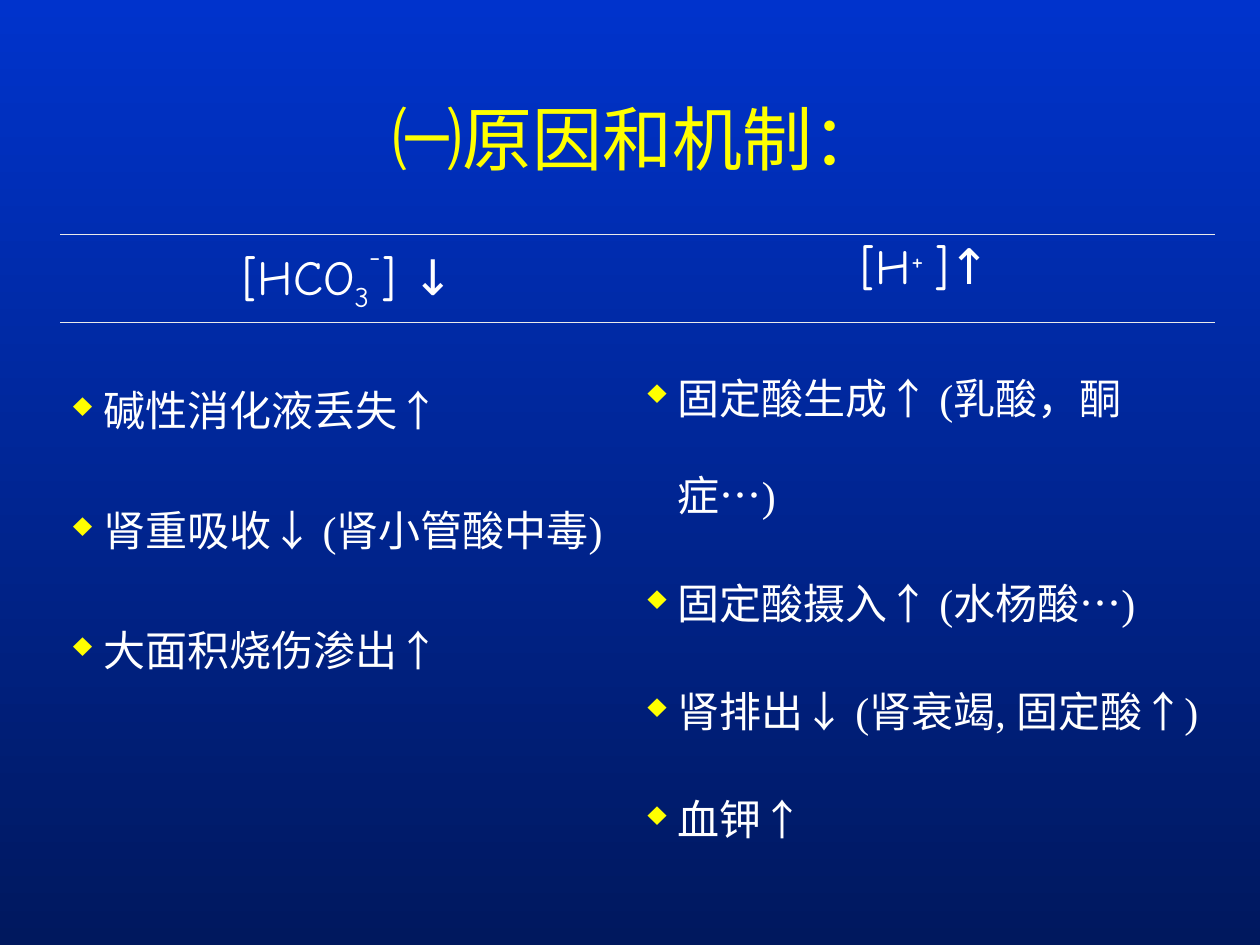
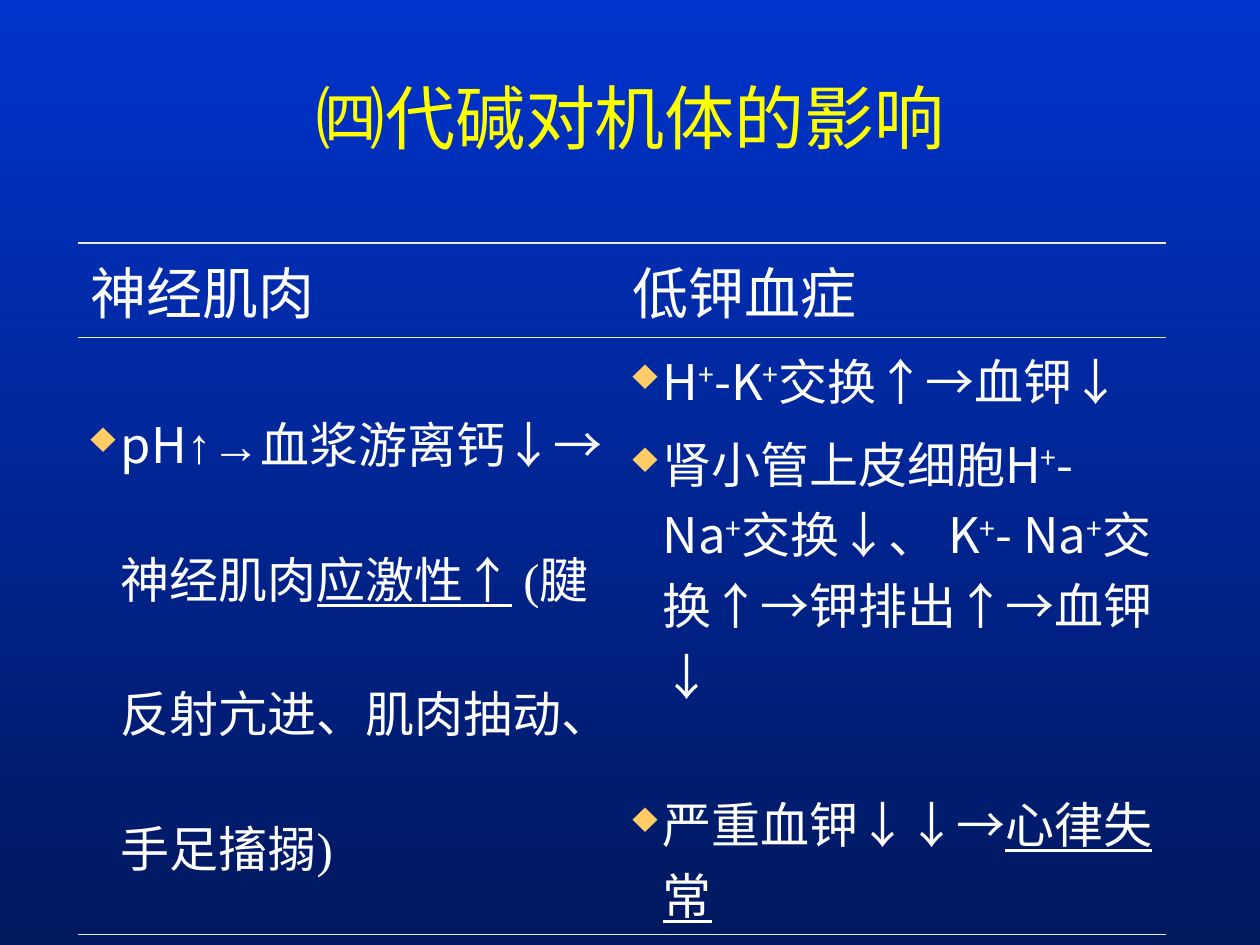
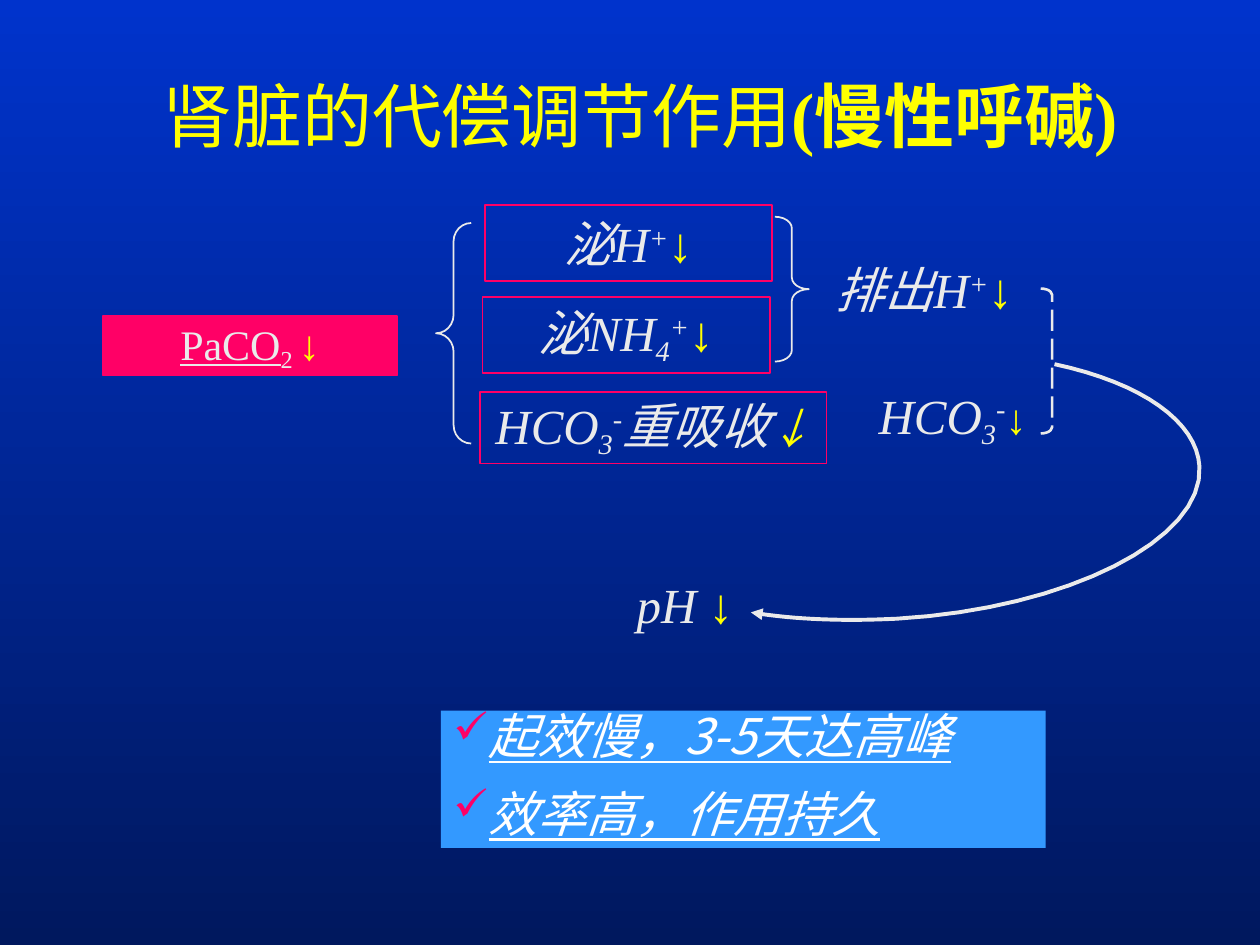
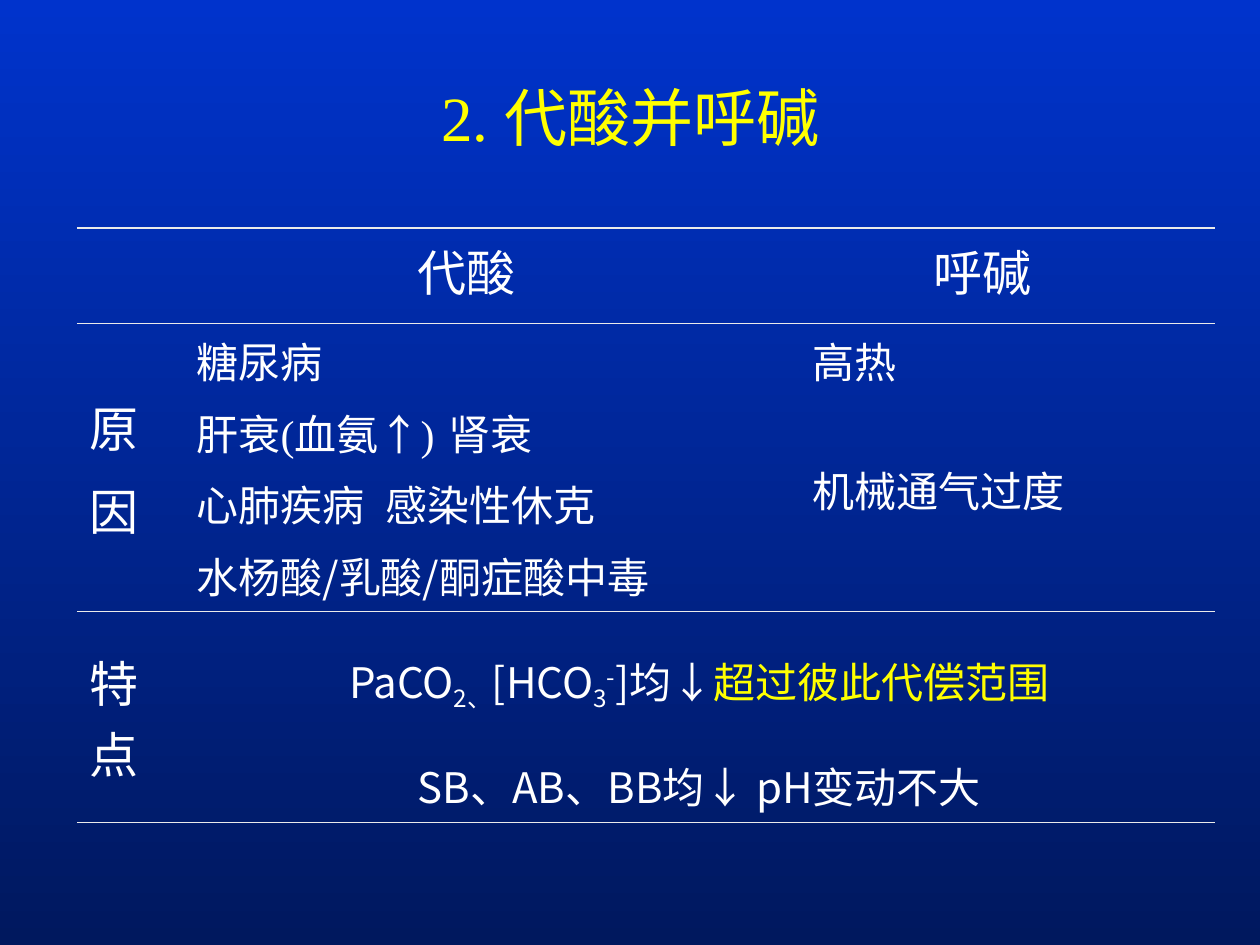
from pptx import Presentation
from pptx.dml.color import RGBColor
from pptx.enum.dml import MSO_LINE as Dash
from pptx.enum.shapes import MSO_SHAPE as Kind
from pptx.enum.text import MSO_ANCHOR as Anchor, MSO_AUTO_SIZE as Auto, PP_ALIGN as Align
from pptx.oxml.ns import qn
from pptx.util import Emu, Inches, Pt
from lxml.etree import SubElement as Sub

# The slide is a grid of 100 columns by 75 rows.
COLS, ROWS = 100, 75
WIDE, HIGH = Inches(10), Inches(7.5)
TOP, DEEP = "0033CC", "00185E"
YELLOW, WHITE, PALE = "FFFF00", "FFFFFF", "EAEAEA"
PINK, AMBER, SKY = "FF0066", "FFCC66", "3399FF"
TIMES, SANS, COMIC = "Times New Roman", "Noto Sans CJK SC", "Comic Neue"

SUB, SUP = {"base": -20}, {"base": 30}
GOLD = {"ink": YELLOW}
TITLE = {"size": 40, "ink": YELLOW, "align": Align.CENTER}
LABEL = {"size": 28, "ink": PALE, "italic": True, "align": Align.CENTER}


def hue(code):
    return RGBColor.from_string(code)


def units(*vals):
    return [Emu(round(val * WIDE / COLS)) for val in vals]


def shift(box, x, y, w, h):
    """Place a part relative to the corner of its region."""
    return box[0] + x, box[1] + y, w, h


def split(item):
    """Part a text from the format that overrides its surroundings."""
    return item if isinstance(item, tuple) else (item, {})


def style(run, look):
    font = run.font
    for key in ("bold", "italic", "underline"):
        setattr(font, key, look.get(key))
    font.name = look.get("name", TIMES)
    font.size = Pt(look["size"])
    font.color.rgb = hue(look["ink"])
    props = run._r.get_or_add_rPr()
    Sub(props, qn("a:ea")).set("typeface", SANS)
    if "base" in look:
        props.set("baseline", str(look["base"] * 1000))


def layout(para, look, first):
    para.alignment = look.get("align", Align.LEFT)
    para.line_spacing = look.get("lead", 1.0)
    para.space_before = Pt(0 if first else look.get("gap", 0))
    props = para._p.get_or_add_pPr()
    hang = look.get("hang", 0)
    props.set("marL", str(units(look.get("left", hang))[0]))
    props.set("indent", str(units(-hang)[0]))
    if "mark" in look:
        mark, ink, size = look["mark"]
        Sub(Sub(props, qn("a:buClr")), qn("a:srgbClr")).set("val", ink)
        Sub(props, qn("a:buSzPct")).set("val", str(size * 1000))
        Sub(props, qn("a:buChar")).set("char", mark)
    if "tab" in look:
        stop = Sub(Sub(props, qn("a:tabLst")), qn("a:tab"))
        stop.set("pos", str(units(look["tab"])[0]))
        stop.set("algn", "l")


def write(frame, paras, look):
    """Fill a frame; each paragraph is a string or a list of runs."""
    for num, item in enumerate(paras):
        runs, own = split(item)
        full = {**look, **own}
        para = frame.add_paragraph() if num else frame.paragraphs[0]
        layout(para, full, num == 0)
        for part in [runs] if isinstance(runs, str) else runs:
            text, extra = split(part)
            run = para.add_run()
            run.text = text
            style(run, {**full, **extra})


def page(deck, box, runs, **look):
    slide = deck.slides.add_slide(deck.slide_layouts[5])
    title = slide.shapes.title
    for key, val in zip(("left", "top", "width", "height"), units(*box)):
        setattr(title, key, val)
    frame = title.text_frame
    frame.auto_size, frame.vertical_anchor = Auto.NONE, Anchor.MIDDLE
    write(frame, [runs], {**TITLE, **look})
    return slide


def rule(props, side, width):
    """Draw one cell border, or clear it when the width is 0."""
    line = Sub(props, qn("a:ln" + side))
    line.set("w", str(Pt(width)))
    if width:
        Sub(Sub(line, qn("a:solidFill")), qn("a:srgbClr")).set("val", PALE)
    else:
        Sub(line, qn("a:noFill"))


def sheet(slide, spot, cols, rows, cells):
    """Add a ruled table; None joins a cell to the one on its left."""
    size = units(*spot, sum(cols), sum(rows))
    table = slide.shapes.add_table(len(rows), len(cols), *size).table
    table.first_row = table.horz_banding = False
    for part, sizes, key in ((table.columns, cols, "width"), (table.rows, rows, "height")):
        for item, val in zip(part, units(*sizes)):
            setattr(item, key, val)
    for r, line in enumerate(cells):
        for c, item in enumerate(line):
            cell = table.cell(r, c)
            props = cell._tc.get_or_add_tcPr()
            edges = {"L": 0, "R": 0, "T": 0.45 if r else 1.08,
                     "B": 1.08 if r == len(rows) - 1 else 0.45}
            for side, width in edges.items():
                rule(props, side, width)
            cell.fill.background()
            if item is None:
                table.cell(r, c - 1).merge(cell)
                continue
            paras, look = item
            cell.vertical_anchor = look.get("anchor", Anchor.TOP)
            write(cell.text_frame, paras, look)


def paint(shape, fill=None, line=None, width=1):
    shape.shadow.inherit = False
    if fill:
        shape.fill.solid()
        shape.fill.fore_color.rgb = hue(fill)
    else:
        shape.fill.background()
    if line:
        shape.line.color.rgb = hue(line)
        shape.line.width = Pt(width)
    else:
        shape.line.fill.background()
    return shape


def label(slide, box, runs, look=LABEL, fill=None, line=None):
    """Add a centred line of text, in a rectangle if it has a line."""
    if line:
        shape = paint(slide.shapes.add_shape(Kind.RECTANGLE, *units(*box)), fill, line)
    else:
        shape = slide.shapes.add_textbox(*units(*box))
    frame = shape.text_frame
    frame.word_wrap, frame.vertical_anchor = False, Anchor.MIDDLE
    write(frame, [runs], look)


def brace(slide, kind, box, bend, width=1):
    shape = paint(slide.shapes.add_shape(kind, *units(*box)), None, PALE, width)
    shape.adjustments[0] = bend
    return shape


def bend(start, curves, steps=16):
    """Yield points along a chain of cubic curves."""
    for a, b, end in curves:
        for n in range(1, steps + 1):
            t = n / steps
            u = 1 - t
            yield tuple(u**3 * p + 3 * u * u * t * q + 3 * u * t * t * r + t**3 * s
                        for p, q, r, s in zip(start, a, b, end))
        start = end


def sweep(slide, box, start, curves):
    def spot(point):
        return units(box[0] + point[0], box[1] + point[1])

    pen = slide.shapes.build_freeform(*spot(start))
    pen.add_line_segments([spot(point) for point in bend(start, curves)], close=False)
    shape = paint(pen.convert_to_shape(), None, PALE, 2.25)
    Sub(shape.line._get_or_add_ln(), qn("a:tailEnd")).set("type", "triangle")


def flow(slide, box):
    def at(*part):
        return shift(box, *part)

    down = ("↓", GOLD)
    small = ("↓", {"ink": YELLOW, "size": 24})
    bicarb = ["HCO", ("3", SUB), ("-", SUP)]
    label(slide, at(35.5, 28.3, 22.7, 7.3), ["pH ", ("↓ ", GOLD)])
    label(slide, at(0.2, 9.1, 23.3, 4.7),
          [("PaCO", {"underline": True}), ("2 ", SUB), down],
          {**LABEL, "size": 24, "italic": False}, PINK, PINK)
    boxes = [((30.5, 0.3, 22.8, 6), ["泌H", ("+", SUP), down]),
             ((30.3, 7.6, 22.8, 6), ["泌NH", ("4", SUB), ("+", SUP), down]),
             ((30.1, 15.1, 27.5, 5.7), bicarb + ["重吸收", small])]
    for part, runs in boxes:
        label(slide, at(*part), runs, line=PINK)
    label(slide, at(57.3, 3.8, 16.1, 6.3), ["排出H", ("+", SUP), down])
    label(slide, at(59.5, 14.3, 16.2, 5.7), bicarb + [small])
    brace(slide, Kind.LEFT_BRACE, at(26.6, 1.7, 2.8, 17.5), 0.52)
    brace(slide, Kind.RIGHT_BRACE, at(53.5, 1.2, 2.7, 11.5), 0.34)
    edge = brace(slide, Kind.RIGHT_BRACKET, at(74.6, 6.9, 0.9, 11.5), 0.55, 1.5)
    edge.line.dash_style = Dash.LONG_DASH
    sweep(slide, box, (75.7, 12.9),
          [((82.7, 14.4), (87, 17.5), (87.2, 21)),
           ((87.6, 26.8), (76.8, 32.3), (63.2, 33.1)),
           ((59.2, 33.3), (55.2, 33.2), (51.6, 32.6))])


def notes(slide, box, paras):
    shape = paint(slide.shapes.add_shape(Kind.RECTANGLE, *units(*box)), SKY)
    frame = shape.text_frame
    frame.word_wrap, frame.vertical_anchor = True, Anchor.TOP
    write(frame, paras, {"size": 28, "name": SANS, "ink": WHITE, "italic": True,
                         "underline": True, "lead": 0.8, "gap": 17.5,
                         "hang": 2.8, "mark": ("✓", PINK, 90)})


def causes(deck):
    slide = page(deck, (5.9, 6, 89.4, 9.8), "㈠原因和机制：")
    head = {"size": 28, "name": COMIC, "ink": WHITE, "align": Align.CENTER}
    body = {"size": 24, "ink": WHITE, "gap": 6, "hang": 2.4, "mark": ("♦", YELLOW, 80)}
    sheet(slide, (4.8, 18.6), (45.6, 46), (7, 41.9), [
        [([["[HCO", ("3", {"base": -25}), ("-", {"base": 60}), "] ↓"]], head),
         ([["[H", ("+ ", SUP), "]↑"]], head)],
        [(["碱性消化液丢失↑", "肾重吸收↓ (肾小管酸中毒)", "大面积烧伤渗出↑"],
          {**body, "lead": 1.8}),
         (["固定酸生成↑ (乳酸，酮症…)", "固定酸摄入↑ (水杨酸…)",
           "肾排出↓ (肾衰竭, 固定酸↑)", "血钾↑"], {**body, "lead": 1.6})]])


def effects(deck):
    slide = page(deck, (5, 3, 90, 12.5), "㈣代碱对机体的影响")
    head = {"size": 32, "name": SANS, "ink": WHITE, "anchor": Anchor.MIDDLE}
    body = {"size": 28, "ink": WHITE, "gap": 7, "hang": 2.4, "mark": ("♦", AMBER, 90)}
    sans, line = {"name": SANS}, {"underline": True}
    plus = ("+", {**sans, **SUP})
    sheet(slide, (6.2, 19.3), (43, 43.3), (6.4, 36.5), [
        [(["神经肌肉"], head), (["低钾血症"], head)],
        [([[("pH", sans), "↑→血浆游离钙↓→ 神经肌肉", ("应激性", {**sans, **line}),
            ("↑", line), " (腱反射亢进、肌肉抽动、手足搐搦)"]], {**body, "lead": 1.9}),
         ([[("H", sans), plus, ("-K", sans), plus, "交换↑→血钾↓"],
           [("肾小管上皮细胞H", sans), plus, ("-Na", sans), plus, "交换↓、 ",
            ("K", sans), plus, ("- Na", sans), plus, "交换↑→钾排出↑→血钾↓"],
           (["严重血钾↓↓→", ("心律失常", line)], {"gap": 44})], body)]])


def kidney(deck):
    slide = page(deck, (8.3, 4.4, 85, 9.4), ["肾脏的代偿调节作用", ("(慢性呼碱)", {"bold": True})])
    flow(slide, (8, 16, 88, 36))
    notes(slide, (35, 56.4, 48, 10.9), ["起效慢，3-5天达高峰", "效率高，作用持久"])


def mixed(deck):
    slide = page(deck, (5, 3, 90, 12.5), "2. 代酸并呼碱", size=36)
    big = {"size": 28, "ink": WHITE, "gap": 7}
    head = {**big, "align": Align.CENTER}
    side = {**big, "anchor": Anchor.MIDDLE}
    body = {"size": 24, "ink": WHITE, "gap": 6}
    sans = {"name": SANS}
    traits = {**body, **sans, "align": Align.CENTER, "lead": 1.5}
    sheet(slide, (6.1, 18.1), (8.5, 44.9, 36.9), (7.6, 21, 13.8), [
        [([], big), (["代酸"], head), (["呼碱"], head)],
        [(["原", "因"], side),
         (["糖尿病", (["肝衰(血氨↑)\t", ("肾衰", sans)], {"tab": 25.6}),
           ("心肺疾病\t感染性休克", {"tab": 15.5}), ("水杨酸/乳酸/酮症酸中毒", sans)], body),
         (["高热", ("机械通气过度", {"gap": 39})], {**body, "left": 4})],
        [(["特点"], side),
         ([["PaCO", ("2、", SUB), "[HCO", ("3", SUB), ("-", SUP), "]均↓",
            ("超过彼此代偿范围", {"name": TIMES, **GOLD})],
           "SB、AB、BB均↓ pH变动不大"], traits),
         None]])


def main():
    deck = Presentation()
    deck.slide_width, deck.slide_height = WIDE, HIGH
    fill = deck.slide_master.background.fill
    fill.gradient()
    fill.gradient_angle = 270
    for stop, code in zip(fill.gradient_stops, (TOP, DEEP)):
        stop.color.rgb = hue(code)
    for build in (causes, effects, kidney, mixed):
        build(deck)
    deck.save("out.pptx")


if __name__ == "__main__":
    main()
